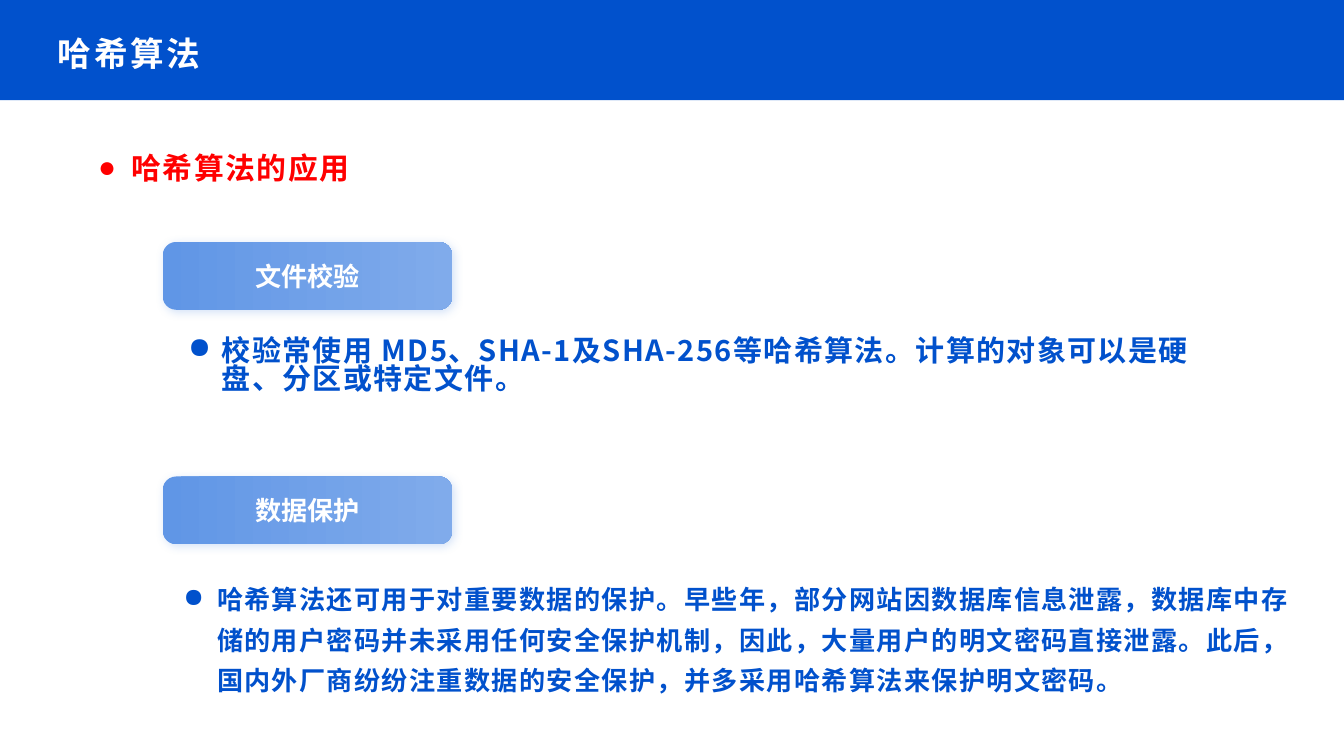
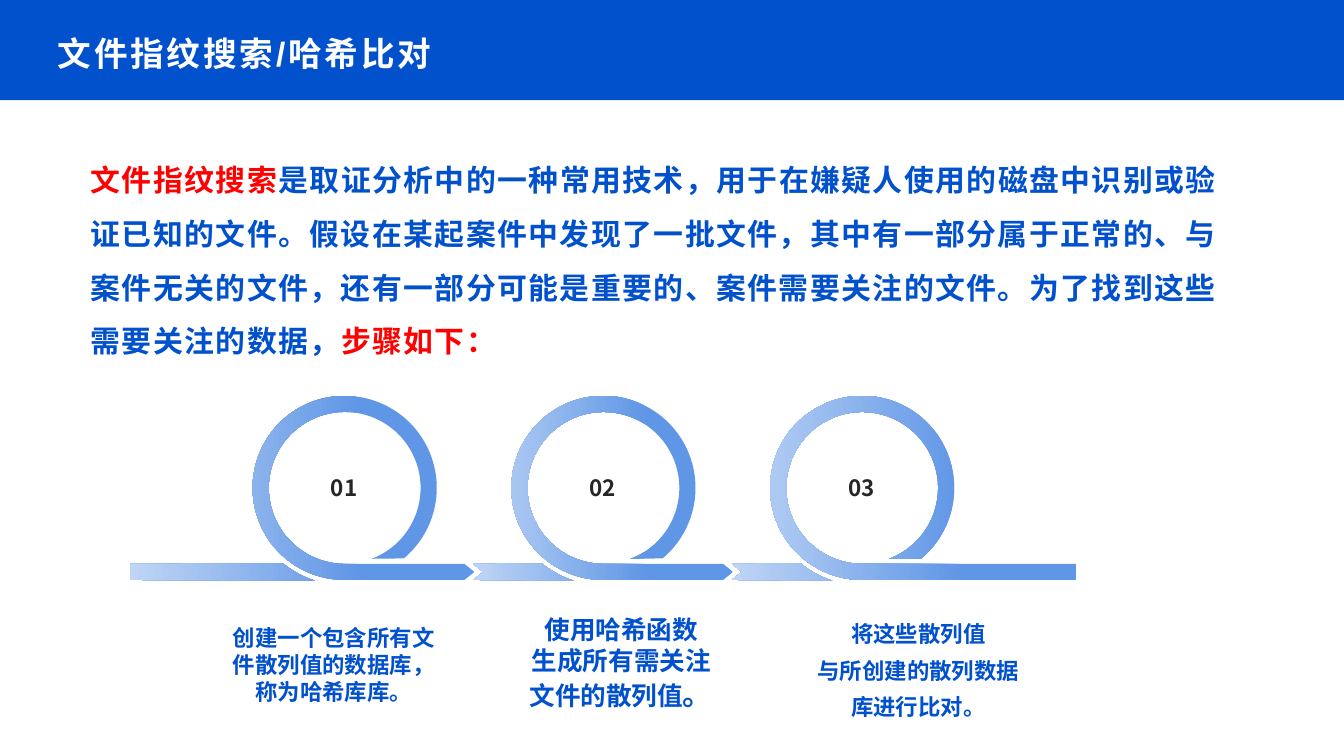
from math import cos, radians, sin

from lxml.etree import Element, SubElement
from pptx import Presentation
from pptx.dml.color import RGBColor as Rgb
from pptx.enum.shapes import MSO_SHAPE as Kind
from pptx.enum.text import MSO_ANCHOR as Anchor, MSO_AUTO_SIZE as Fit, PP_ALIGN as Align
from pptx.oxml.ns import qn
from pptx.util import Inches, Pt

HUES = {"blue": "0151CC", "red": "FF0000", "white": "FFFFFF", "ink": "262626",
        "mid": "6096E6", "soft": "80ABEB", "pale": "BFD5F5"}
FACE = "Noto Sans CJK SC"
LEFT, MID = Align.LEFT, Align.CENTER


def write(box, *paras, size=24, hue="blue", face=FACE, align=MID, gap=0, lead=1.0,
          after=0, dot=False, left=0, hang=0, anchor=Anchor.MIDDLE, pad=(0, 0)):
    """Fill box; a paragraph is a string or a list of (text, format) runs."""
    frame = box.text_frame
    frame.word_wrap, frame.auto_size, frame.vertical_anchor = True, Fit.NONE, anchor
    frame.margin_left = frame.margin_right = Inches(pad[0])
    frame.margin_top = frame.margin_bottom = Inches(pad[1])
    for i, para in enumerate(paras):
        par = frame.add_paragraph() if i else frame.paragraphs[0]
        par.alignment, par.line_spacing = align, lead
        par.space_before, par.space_after = Pt(0), Pt(after)
        props = par._p.get_or_add_pPr()
        props.set("marL", str(Inches(left)))
        props.set("indent", str(Inches(hang)))
        if dot:
            SubElement(props, qn("a:buChar"), char="●")
        else:
            SubElement(props, qn("a:buNone"))
        for text, form in [(para, {})] if isinstance(para, str) else para:
            run = par.add_run()
            run.text = text
            font = run.font
            font.size, font.bold, font.name = Pt(form.get("size", size)), True, face
            font.color.rgb = Rgb.from_string(HUES[form.get("hue", hue)])
            mark = run._r.get_or_add_rPr()
            mark.set("spc", str(int(gap * 100)))
            SubElement(mark, qn("a:ea"), typeface=FACE)


def shade(shape, start, end, turn=0, first=0):
    """Give shape a two-stop gradient, no line and no inherited shadow."""
    shape.shadow.inherit = False
    shape.line.fill.background()
    shape.fill.gradient()
    shape.fill.gradient_angle = turn
    for stop, name, place in zip(shape.fill.gradient_stops, (start, end), (first, 1)):
        stop.color.rgb = Rgb.from_string(HUES[name])
        stop.position = place


deck = Presentation()
deck.slide_width, deck.slide_height = Inches(20), Inches(11.25)
plan = deck.slide_layouts[1]

# Shared band and title place
uses, search = [deck.slides.add_slide(plan) for _ in range(2)]
band = uses.shapes.add_shape(Kind.RECTANGLE, Inches(-0.02), 0, Inches(20.02), Inches(1.49))
band.shadow.inherit = False
band.fill.solid()
band.fill.fore_color.rgb = Rgb.from_string(HUES["blue"])
band.line.fill.background()
plan.shapes._spTree.insert(2, band._element)
head = plan.placeholders[0]
head.left, head.top, head.width, head.height = map(Inches, (0.76, 0.21, 17.99, 1.16))

for slide, name, spot in ((uses, "哈希算法", (0.98, 1.91, 17.85, 8.96)),
                          (search, "文件指纹搜索/哈希比对", (0.87, 2.09, 17.67, 8.51))):
    write(slide.shapes.title, name, size=36, hue="white", face="Arial", align=LEFT,
          gap=3, pad=(0.1, 0.05))
    body = slide.placeholders[1]
    body.left, body.top, body.width, body.height = map(Inches, spot)

# Slide 1: uses of hashing
prose = dict(align=LEFT, gap=1.5, anchor=Anchor.TOP)
write(uses.placeholders[1], "哈希算法的应用", size=32, hue="red", lead=1.5, after=10,
      dot=True, left=0.88, hang=-0.5, pad=(0.1, 0.05), **prose)

topics = (
    ("文件校验", 3.6, (2.42, 5.01, 15.52, 1.42),
     "校验常使用 MD5、SHA-1及SHA-256等哈希算法。计算的对象可以是硬盘、分区或特定文件。",
     dict(size=31.1, lead=0.8, after=10, left=0.88)),
    ("数据保护", 7.09, (2.73, 8.5, 16.51, 1.42),
     "哈希算法还可用于对重要数据的保护。早些年，部分网站因数据库信息泄露，数据库中存储的"
     "用户密码并未采用任何安全保护机制，因此，大量用户的明文密码直接泄露。此后，国内外厂商"
     "纷纷注重数据的安全保护，并多采用哈希算法来保护明文密码。",
     dict(size=28, lead=1.3, left=0.5)),
)
for name, top, spot, text, form in topics:
    pill = uses.shapes.add_shape(Kind.ROUNDED_RECTANGLE, Inches(2.42), Inches(top),
                                 Inches(4.31), Inches(1.01))
    pill.adjustments[0] = 0.2
    shade(pill, "mid", "soft")
    glow = SubElement(pill._element.spPr.find(qn("a:effectLst")), qn("a:outerShdw"),
                      blurRad=str(Pt(10)), dist=str(Pt(3)), dir="2700000", rotWithShape="0")
    tint = SubElement(glow, qn("a:srgbClr"), val=HUES["mid"])
    SubElement(tint, qn("a:alpha"), val="25000")
    write(pill, name, size=28, hue="white")
    note = uses.shapes.add_textbox(*map(Inches, spot))
    write(note, text, dot=True, hang=-0.5, pad=(0, 0.04), **prose, **form)

# Slide 2: fingerprint search
write(search.placeholders[1], [
    ("文件指纹搜索", {"hue": "red"}),
    ("是取证分析中的一种常用技术，用于在嫌疑人使用的磁盘中识别或验证已知的文件。假设在某起"
     "案件中发现了一批文件，其中有一部分属于正常的、与案件无关的文件，还有一部分可能是重要的、"
     "案件需要关注的文件。为了找到这些需要关注的数据，", {}),
    ("步骤如下：", {"hue": "red"}),
], size=32, lead=1.5, after=10, left=0.38, pad=(0.1, 0.05), **prose)

steps = (
    ((3.34, 8.95, 3.25, 1.54), ["创建一个包含所有文件散列值的数据库，称为哈希库库。"], {}),
    ((7.42, 9.09, 3.65, 1.5),
     ["使用哈希函数", "生成所有需关注", [("文件的散列值", {}), ("。", {"size": 32})]],
     dict(size=27.4)),
    ((11.52, 9.17, 4.29, 1.54), ["将这些散列值", "与所创建的散列数据", "库进行比对。"],
     dict(after=10)),
)
cy, high, low, tip = 7.26, 8.39, 8.63, 8.51
for i, (spot, lines, form) in enumerate(steps):
    cx = 5.13 + 3.85 * i
    start = cx - 1.94 if i else 1.93
    end = cx + 1.78 if i < 2 else 16.02
    notch = [(start + 0.15, tip)] if i else []
    point = [(end + 0.15, tip)] if i < 2 else []
    # Each point on a circle keeps its radius, the angle before it and the sweep
    bend, inner, outer = [
        [(cx + r * cos(radians(b)), cy + r * sin(radians(b)), r, a, b - a)
         for a, b in zip(turns[:1] + turns, turns)]
        for r, turns in ((1.45, [129, 108]), (1.13, [90, 180, 270, 360, 429]),
                         (1.37, [410, 360, 270, 180, 90]))]
    tail = [(start, low), *notch, (start, high), *bend]
    loop = [(end, high), *inner, *outer, (end, low), *point]
    pen = None
    for path in (tail, loop):
        dots = [(Inches(dot[0]), Inches(dot[1])) for dot in path]
        if pen:
            pen.move_to(*dots[0])
        else:
            pen = search.shapes.build_freeform(*dots[0], scale=1.0)
        pen.add_line_segments(dots[1:], close=True)
    ring = pen.convert_to_shape()
    sides = list(ring._element.iter(qn("a:lnTo")))
    for side, (_, _, *arc) in zip(sides, tail[1:] + loop[1:]):
        if arc and arc[2]:
            r, a, sweep = arc
            curve = Element(qn("a:arcTo"), wR=str(Inches(r)), hR=str(Inches(r)),
                            stAng=str(a % 360 * 60000), swAng=str(sweep * 60000))
            side.getparent().replace(side, curve)
    shade(ring, "mid", "pale", turn=180, first=0.33)

    label = search.shapes.add_textbox(*map(Inches, spot))
    write(label, *lines, anchor=Anchor.BOTTOM, **form)
    count = search.shapes.add_textbox(*map(Inches, (cx - 0.6, 6.71, 1.18, 1.1)))
    write(count, f"{i + 1:02}", hue="ink")

deck.save("out.pptx")
